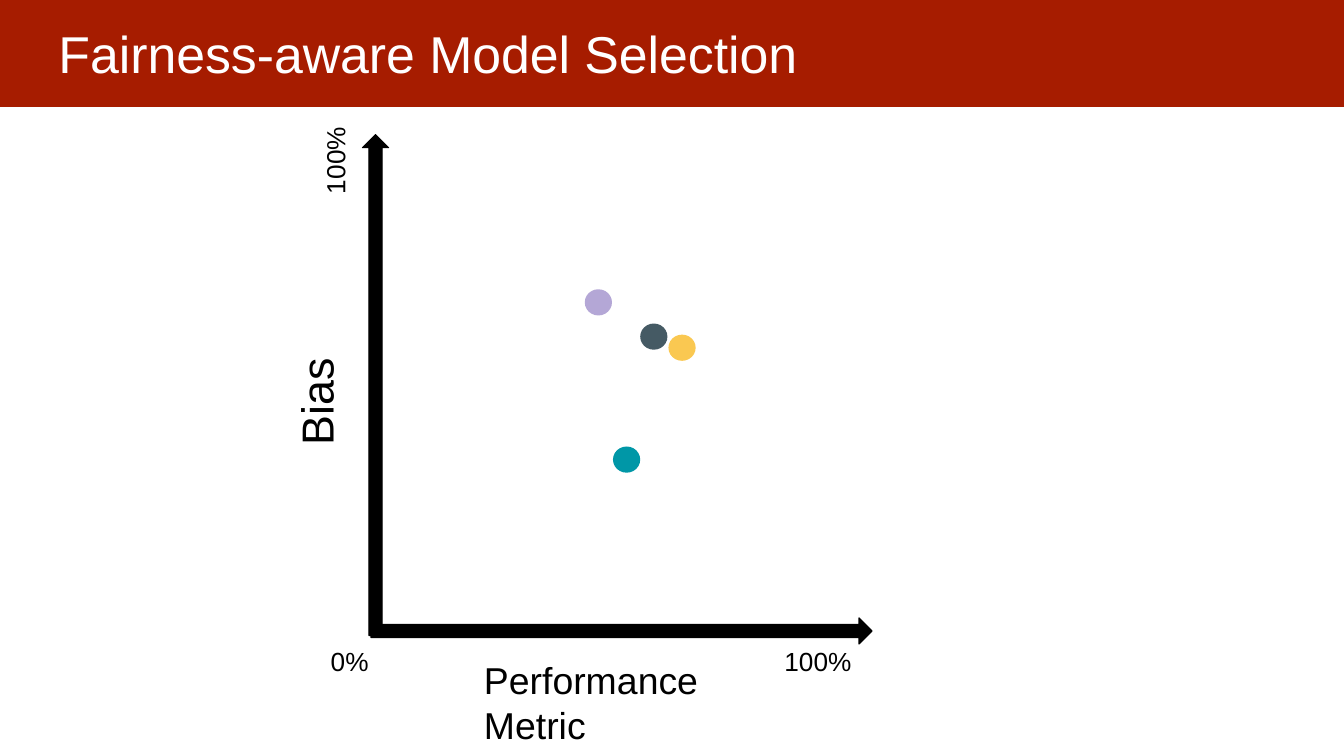
from pptx import Presentation
from pptx.dml.color import RGBColor
from pptx.enum.shapes import MSO_SHAPE as Preset
from pptx.enum.text import MSO_ANCHOR as Anchor
from pptx.util import Inches, Pt

COLORS = {
    "banner": "A61C00",
    "white": "FFFFFF",
    "black": "000000",
    "slate": "455A64",
    "yellow": "FAC851",
    "lilac": "B4A7D6",
    "teal": "0097A7",
}
BANNER = (-0.02, -0.04, 13.36, 1.1)
TITLE = ("Fairness-aware Model Selection", (0.45, 0.09, 12.42, 0.83), 37, 0, "white")
LABELS = [
    ("0%", (3.15, 6.27, 2.31, 0.74), 18.7, 0, "black"),
    ("100%", (7.65, 6.27, 2.31, 0.74), 18.7, 0, "black"),
    ("Bias", (1.95, 3.02, 2.31, 0.74), 32, 270, "black"),
    ("100%", (2.25, 0.53, 2.31, 0.74), 18.7, 270, "black"),
    ("Performance Metric", (4.67, 6.39, 2.52, 0.74), 26.7, 0, "black"),
]
MODELS = [
    ("slate", 6.35, 3.21),
    ("yellow", 6.63, 3.32),
    ("lilac", 5.8, 2.87),
    ("teal", 6.08, 4.43),
]
MODEL_SIZE = (0.27, 0.26)
AXES = [(1.24, 3.69, 270), (3.68, 6.13, 0)]
AXIS_SIZE = (4.97, 0.26)
INSET = Inches(0.13)


def rgb(name):
    return RGBColor.from_string(COLORS[name])


def add_filled(slide, preset, box, color):
    shape = slide.shapes.add_shape(preset, *map(Inches, box))
    shape.shadow.inherit = False
    shape.fill.solid()
    shape.fill.fore_color.rgb = rgb(color)
    shape.line.fill.background()
    return shape


def add_label(slide, text, box, size, rotation, color):
    label = slide.shapes.add_textbox(*map(Inches, box))
    label.rotation = rotation
    frame = label.text_frame
    frame.word_wrap = True
    frame.vertical_anchor = Anchor.TOP
    frame.margin_left = frame.margin_right = INSET
    frame.margin_top = frame.margin_bottom = INSET
    paragraph = frame.paragraphs[0]
    paragraph.text = text
    paragraph.font.name = "Arial"
    paragraph.font.size = Pt(size)
    paragraph.font.color.rgb = rgb(color)


def main():
    deck = Presentation()
    deck.slide_width, deck.slide_height = Inches(13.33), Inches(7.5)
    slide = deck.slides.add_slide(deck.slide_layouts[6])

    add_filled(slide, Preset.RECTANGLE, BANNER, "banner")
    for color, left, top in MODELS:
        add_filled(slide, Preset.OVAL, (left, top, *MODEL_SIZE), color)
    for left, top, rotation in AXES:
        axis = add_filled(slide, Preset.RIGHT_ARROW, (left, top, *AXIS_SIZE), "black")
        axis.rotation = rotation
        axis.line.color.rgb = rgb("black")
        axis.line.width = Pt(0.75)
    for label in [*LABELS, TITLE]:
        add_label(slide, *label)

    deck.save("out.pptx")


if __name__ == "__main__":
    main()
